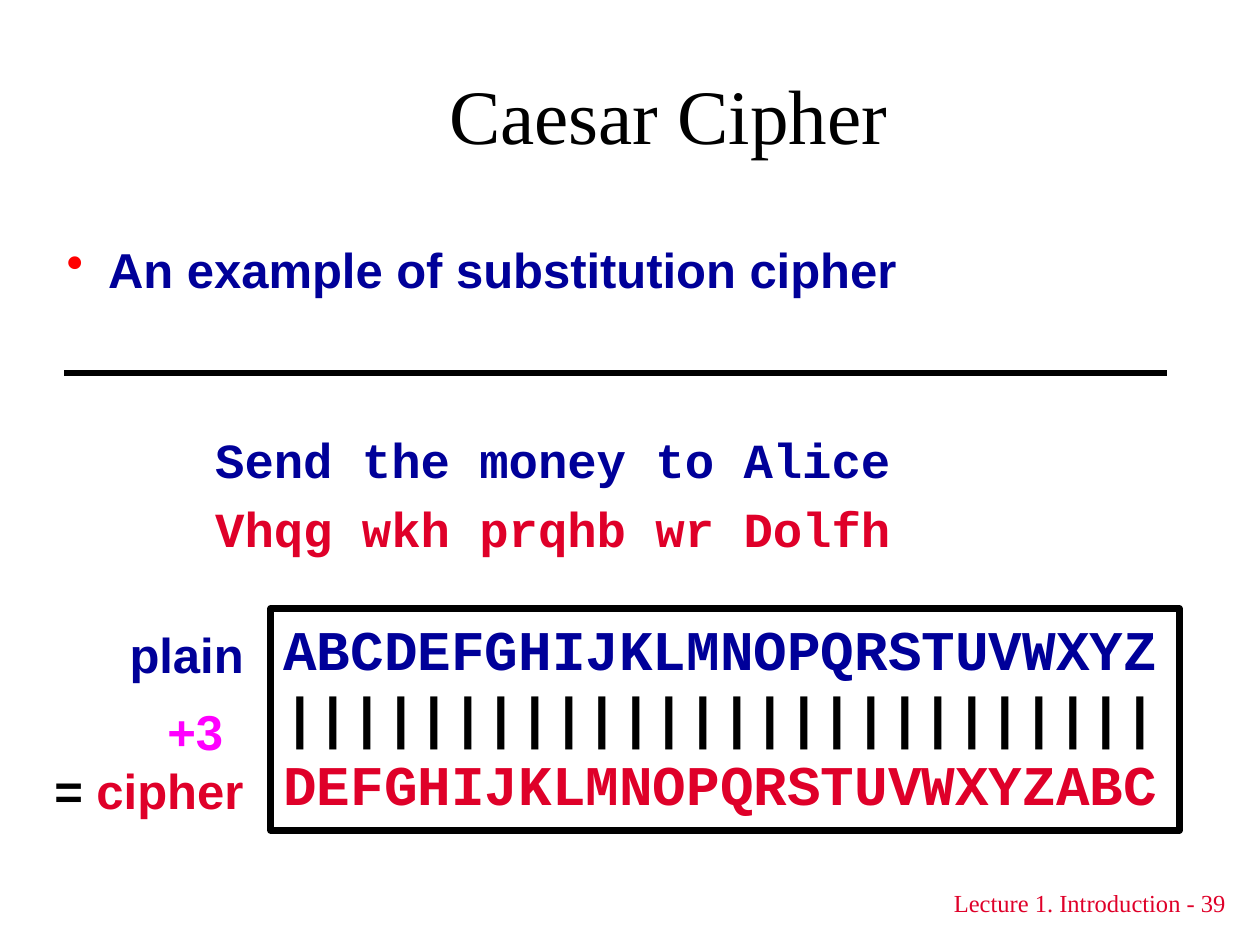
from dataclasses import dataclass

from lxml import etree
from pptx import Presentation
from pptx.dml.color import RGBColor
from pptx.enum.shapes import MSO_CONNECTOR, MSO_SHAPE
from pptx.enum.text import MSO_ANCHOR, PP_ALIGN
from pptx.oxml.ns import qn
from pptx.util import Inches, Pt

LEFT, CENTER, RIGHT = PP_ALIGN.LEFT, PP_ALIGN.CENTER, PP_ALIGN.RIGHT
TOP, MIDDLE = MSO_ANCHOR.TOP, MSO_ANCHOR.MIDDLE
RECTANGLE, STRAIGHT = MSO_SHAPE.RECTANGLE, MSO_CONNECTOR.STRAIGHT

WIDTH, HEIGHT = 10, 7.5
TITLE_ONLY = 5
LINE_HEIGHT = 0.57
SHIFT = 3
ALPHABET = "ABCDEFGHIJKLMNOPQRSTUVWXYZ"
SHIFTED = ALPHABET[SHIFT:] + ALPHABET[:SHIFT]
SERIF, SANS, MONO = "Times New Roman", "Arial", "Courier New"
COLORS = {
    "ink": "000000",
    "plain": "000099",
    "cipher": "DF0029",
    "key": "FF00FF",
    "bullet": "FF0000",
}


@dataclass
class Label:
    runs: list[tuple[str, str]]
    left: float
    top: float
    width: float
    height: float = LINE_HEIGHT
    font: str = SANS
    size: int = 28
    bold: bool = True
    align: PP_ALIGN = LEFT
    wrap: bool = False


def color(name: str) -> RGBColor:
    return RGBColor.from_string(COLORS[name])


def box(left: float, top: float, width: float, height: float) -> list[int]:
    return [Inches(length) for length in (left, top, width, height)]


def write(paragraph, runs: list[tuple[str, str]], *, font: str, size: int,
          bold: bool = False, align: PP_ALIGN = LEFT) -> None:
    paragraph.alignment = align
    for text, color_name in runs:
        run = paragraph.add_run()
        run.text = text
        run.font.name = font
        run.font.size = Pt(size)
        run.font.bold = bold
        run.font.color.rgb = color(color_name)


def add_label(shapes, label: Label):
    shape = shapes.add_textbox(*box(label.left, label.top, label.width, label.height))
    shape.text_frame.word_wrap = label.wrap
    write(shape.text_frame.paragraphs[0], label.runs, font=label.font,
          size=label.size, bold=label.bold, align=label.align)
    return shape


def add_bullet(paragraph, indent: float) -> None:
    properties = paragraph._p.get_or_add_pPr()
    properties.set("marL", str(Inches(indent)))
    properties.set("indent", str(-Inches(indent)))
    bullet_color = etree.SubElement(properties, qn("a:buClr"))
    etree.SubElement(bullet_color, qn("a:srgbClr"), val=COLORS["bullet"])
    etree.SubElement(properties, qn("a:buChar"), char="•")


def add_alphabet_table(shapes) -> None:
    """Frame the two alphabets with a bar between each pair of letters."""
    frame = shapes.add_shape(RECTANGLE, *box(2.15, 4.83, 7.21, 1.76))
    frame.shadow.inherit = False
    frame.fill.background()
    frame.line.color.rgb = color("ink")
    frame.line.width = Pt(4)
    text_frame = frame.text_frame
    text_frame.word_wrap = False
    text_frame.vertical_anchor = TOP
    rows = [(ALPHABET, "plain"), ("|" * len(ALPHABET), "ink"), (SHIFTED, "cipher")]
    for index, row in enumerate(rows):
        paragraph = text_frame.add_paragraph() if index else text_frame.paragraphs[0]
        write(paragraph, [row], font=MONO, size=32, bold=True)


def add_rule(shapes, left: float, right: float, top: float) -> None:
    rule = shapes.add_connector(STRAIGHT, Inches(left), Inches(top),
                                Inches(right), Inches(top))
    rule.line.color.rgb = color("ink")
    rule.line.width = Pt(3)
    etree.SubElement(rule._element.spPr, qn("a:effectLst"))


def main() -> None:
    presentation = Presentation()
    presentation.slide_width, presentation.slide_height = Inches(WIDTH), Inches(HEIGHT)
    slide = presentation.slides.add_slide(presentation.slide_layouts[TITLE_ONLY])
    shapes = slide.shapes

    title = shapes.title
    title.left, title.top, title.width, title.height = box(1.14, 0.28, 8.33, 1.25)
    title.text_frame.vertical_anchor = MIDDLE
    write(title.text_frame.paragraphs[0], [("Caesar Cipher", "ink")],
          font=SERIF, size=44, align=CENTER)

    add_label(shapes, Label([("Lecture 1. Introduction - 39", "cipher")], 7, 7, 2.83,
                            0.33, font=SERIF, size=14, bold=False, align=RIGHT))
    topic = add_label(shapes, Label([("An example of substitution cipher", "plain")],
                                    0.43, 1.85, 8.33, wrap=True))
    add_bullet(topic.text_frame.paragraphs[0], 0.33)
    add_rule(shapes, 0.51, 9.26, 2.96)

    messages = [("Send the money to Alice", "plain"), ("Vhqg wkh prqhb wr Dolfh", "cipher")]
    for row, message in enumerate(messages):
        add_label(shapes, Label([message], 1.61, 3.36 + 0.55 * row, 5.84, font=MONO))

    table = shapes.add_group_shape().shapes
    add_alphabet_table(table)
    add_label(table, Label([("plain", "plain")], 0.93, 4.91, 1.11))
    add_label(table, Label([("= ", "ink"), ("cipher", "cipher")], 0.33, 5.99, 1.7,
                           align=RIGHT))
    add_label(shapes, Label([(f"+{SHIFT}", "key")], 1.23, 5.52, 0.64))

    presentation.save("out.pptx")


if __name__ == "__main__":
    main()
